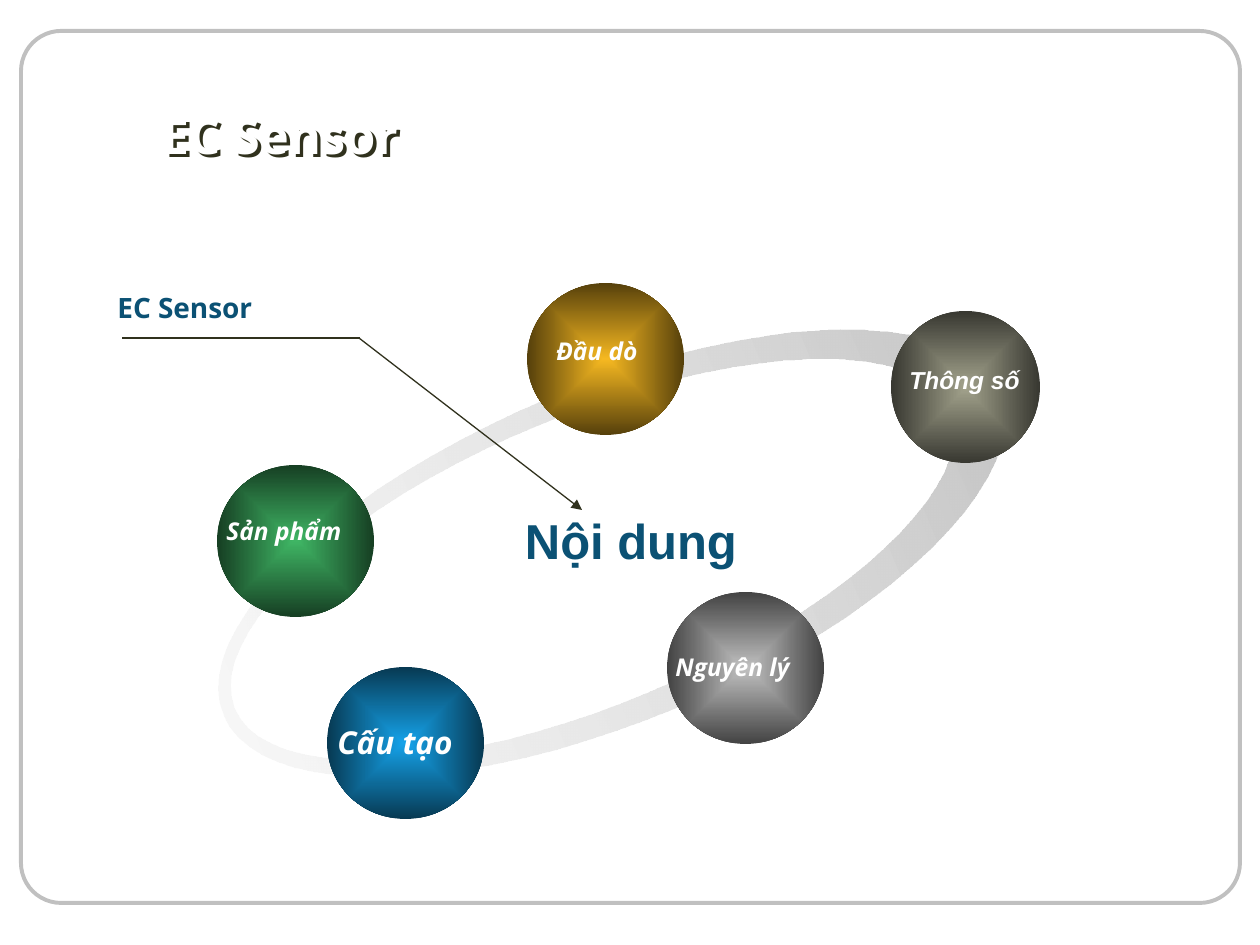
import math
from dataclasses import dataclass

from lxml import etree
from pptx import Presentation
from pptx import util as u
from pptx.dml.color import RGBColor
from pptx.enum import shapes, text
from pptx.oxml import parse_xml
from pptx.oxml.ns import nsdecls, qn

SCALE = 914400 / 126
ARROW, LINE = "triangle", None


def px(n):
    """Turn picture pixels into EMU."""
    return u.Emu(round(n * SCALE))


@dataclass(frozen=True)
class Theme:
    """Colours, fonts and type sizes of the slide."""
    white: str = "FFFFFF"
    ink: str = "30311D"
    navy: str = "0B5174"
    silver: str = "C0C0C0"
    mist: str = "EEEEEE"
    amber: str = "F5B821"
    green: str = "3FB564"
    blue: str = "15A2E9"
    olive: str = "A1A18B"
    sans: str = "Open Sans"
    arial: str = "Arial"
    heading: int = 28
    caption: int = 16
    large: int = 18
    label: int = 14


def write(tf, words, *, size, color, font, italic=False, align=text.PP_ALIGN.LEFT):
    """Put one bold formatted run into a text frame."""
    p = tf.paragraphs[0]
    p.alignment = align
    r = p.add_run()
    r.text = words
    r.font.size, r.font.name = u.Pt(size), font
    r.font.bold, r.font.italic = True, italic
    r.font.color.rgb = RGBColor.from_string(color)


def gradient(sp, first, last, direction):
    """Fill a shape with a two-stop gradient given as XML parts."""
    sp.fill.background()
    old = sp._element.spPr.find(qn("a:noFill"))
    new = parse_xml(
        f'<a:gradFill rotWithShape="1" {nsdecls("a")}><a:gsLst>'
        f'<a:gs pos="0">{first}</a:gs><a:gs pos="100000">{last}</a:gs>'
        f'</a:gsLst>{direction}</a:gradFill>')
    old.getparent().replace(old, new)


def srgb(color, inner=""):
    """Return a colour element with optional modifiers."""
    return f'<a:srgbClr val="{color}">{inner}</a:srgbClr>'


class Deck:
    """Holds the theme and the current slide and draws its elements."""

    def __init__(self, theme):
        """Open a presentation with one title-only slide."""
        self.t = theme
        self.prs = Presentation()
        self.prs.slide_width, self.prs.slide_height = u.Inches(10), u.Inches(7.5)
        self.slide = self.prs.slides.add_slide(self.prs.slide_layouts[5])

    def frame(self, x, y, w, h):
        """Draw the rounded border of the slide."""
        sp = self.slide.shapes.add_shape(
            shapes.MSO_SHAPE.ROUNDED_RECTANGLE, px(x), px(y), px(w), px(h))
        sp.adjustments[0] = 0.046
        sp.shadow.inherit = False
        sp.fill.background()
        sp.line.color.rgb = RGBColor.from_string(self.t.silver)
        sp.line.width = u.Pt(2.25)

    def title(self, x, y, w, h, words):
        """Place the white title with its hard dark shadow."""
        sp = self.slide.shapes.title
        sp.left, sp.top, sp.width, sp.height = px(x), px(y), px(w), px(h)
        tf = sp.text_frame
        tf.vertical_anchor = text.MSO_ANCHOR.MIDDLE
        tf.auto_size = text.MSO_AUTO_SIZE.NONE
        write(tf, words, size=self.t.heading, color=self.t.white, font=self.t.sans)
        sp.fill.background()
        sp._element.spPr.append(parse_xml(
            f'<a:effectLst {nsdecls("a")}><a:outerShdw dist="35921" dir="2700000" '
            f'algn="ctr" rotWithShape="0">{srgb(self.t.ink)}</a:outerShdw></a:effectLst>'))

    def ring(self, cx, cy, outer, inner, shift, angle, steps=80):
        """Draw a tilted ring between two ellipses, the inner one shifted."""
        def ellipse(radii, dx, dy, turn):
            """List the points of one ellipse in EMU."""
            angles = [turn * 2 * math.pi * i / steps for i in range(steps)]
            return [(px(cx + dx + radii[0] * math.cos(a)),
                     px(cy + dy + radii[1] * math.sin(a))) for a in angles]

        rim, hole = ellipse(outer, 0, 0, 1), ellipse(inner, *shift, -1)
        fb = self.slide.shapes.build_freeform(*rim[0])
        fb.add_line_segments(rim[1:])
        fb.move_to(*hole[0])
        fb.add_line_segments(hole[1:])
        sp = fb.convert_to_shape()
        sp.rotation = angle
        sp.shadow.inherit = False
        gradient(sp, srgb(self.t.mist, '<a:alpha val="36000"/>'),
                 srgb(self.t.silver), '<a:lin ang="0" scaled="1"/>')
        sp.line.fill.background()

    def ball(self, x, y, w, h, color):
        """Draw a circle that darkens towards its edge."""
        sp = self.slide.shapes.add_shape(
            shapes.MSO_SHAPE.OVAL, px(x), px(y), px(w), px(h))
        sp.shadow.inherit = False
        dark = '<a:gamma/><a:shade val="35294"/><a:invGamma/>'
        gradient(sp, srgb(color), srgb(color, dark),
                 '<a:path path="shape"><a:fillToRect l="50000" t="50000" '
                 'r="50000" b="50000"/></a:path>')
        sp.line.fill.background()

    def label(self, x, y, w, h, words, wrap=True, **style):
        """Add a text box that grows with its text."""
        tf = self.slide.shapes.add_textbox(px(x), px(y), px(w), px(h)).text_frame
        tf.word_wrap = wrap
        tf.auto_size = text.MSO_AUTO_SIZE.SHAPE_TO_FIT_TEXT
        write(tf, words, **style)

    def line(self, x1, y1, x2, y2, tail=LINE):
        """Draw a thin line, with an arrowhead at its end if asked."""
        sp = self.slide.shapes.add_connector(
            shapes.MSO_CONNECTOR.STRAIGHT, px(x1), px(y1), px(x2), px(y2))
        sp.line.color.rgb = RGBColor.from_string(self.t.ink)
        sp.line.width = u.Pt(0.75)
        if tail:
            etree.SubElement(sp.line._get_or_add_ln(), qn("a:tailEnd"), type=tail)
        etree.SubElement(sp._element.spPr, qn("a:effectLst"))


def main():
    """Build the slide and save it."""
    t = Theme()
    deck = Deck(t)
    deck.frame(21, 31, 1219, 872)
    deck.title(149, 98, 1041, 73, "EC Sensor")
    deck.ring(612, 553, outer=(420, 167), inner=(387, 144), shift=(-20, -2), angle=-22.6)

    balls = [
        (527, 283, 157, 152, t.amber),
        (217, 465, 157, 152, t.green),
        (327, 667, 157, 152, t.blue),
        (667, 592, 157, 152, t.silver),
        (891, 311, 149, 152, t.olive),
    ]
    for ball in balls:
        deck.ball(*ball)

    topics = [
        (214, 510, 164, 43, "Sản phẩm", False, t.label, t.sans),
        (544, 330, 140, 43, "Đầu dò", True, t.label, t.sans),
        (897, 359, 136, 43, "Thông số", False, t.label, t.arial),
        (663, 646, 164, 43, "Nguyên lý", False, t.label, t.sans),
        (325, 717, 161, 50, "Cấu tạo", False, t.large, t.sans),
    ]
    for *place, wrap, size, font in topics:
        deck.label(*place, wrap=wrap, size=size, font=font, color=t.white, italic=True)

    deck.label(472, 504, 318, 72, "Nội dung", size=t.heading, font=t.arial,
               color=t.navy, align=text.PP_ALIGN.CENTER)
    deck.line(359, 338, 582, 510, tail=ARROW)
    deck.line(360, 338, 122, 338)
    deck.label(105, 284, 284, 47, "EC Sensor", size=t.caption, font=t.sans, color=t.navy)
    deck.prs.save("out.pptx")


main()
